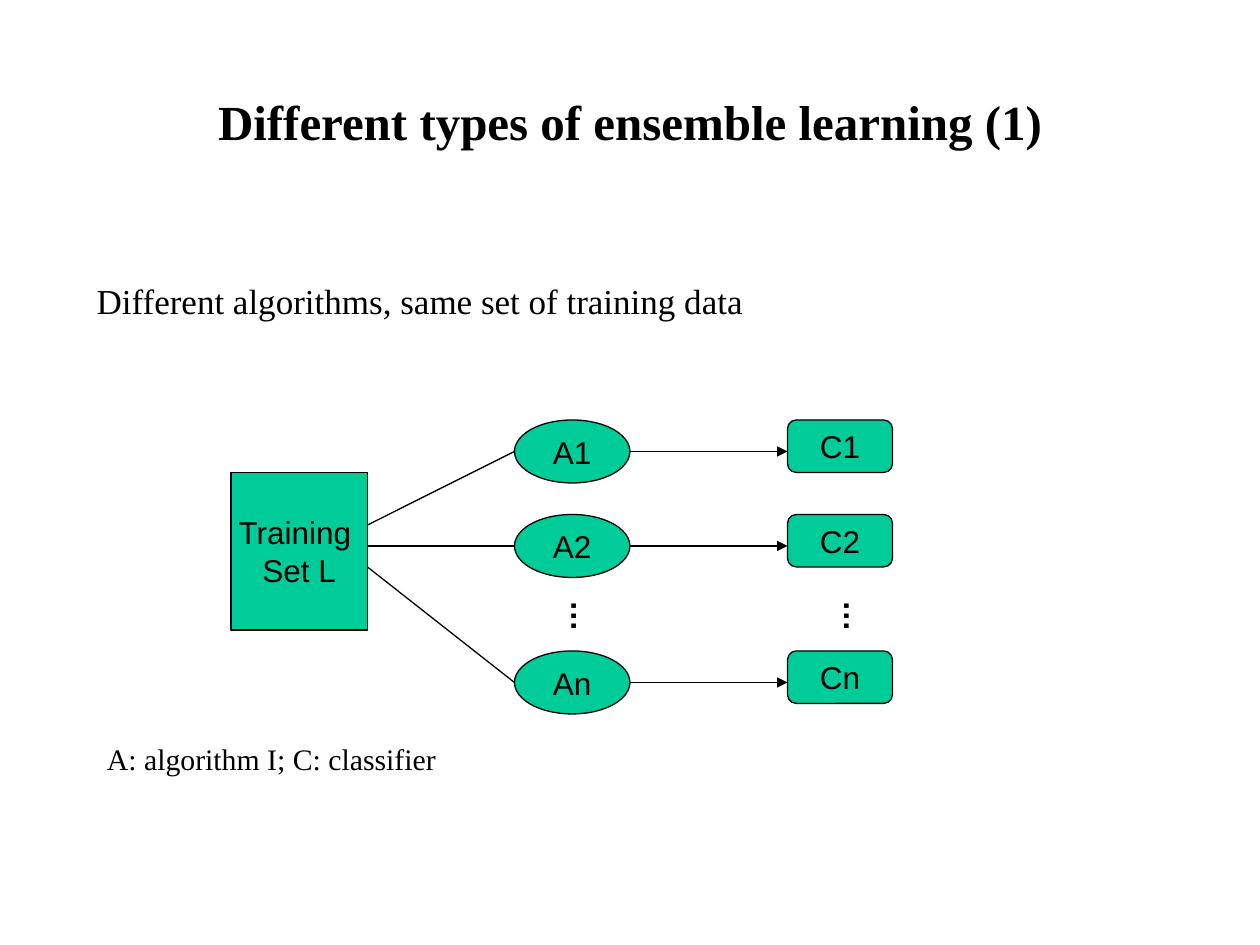
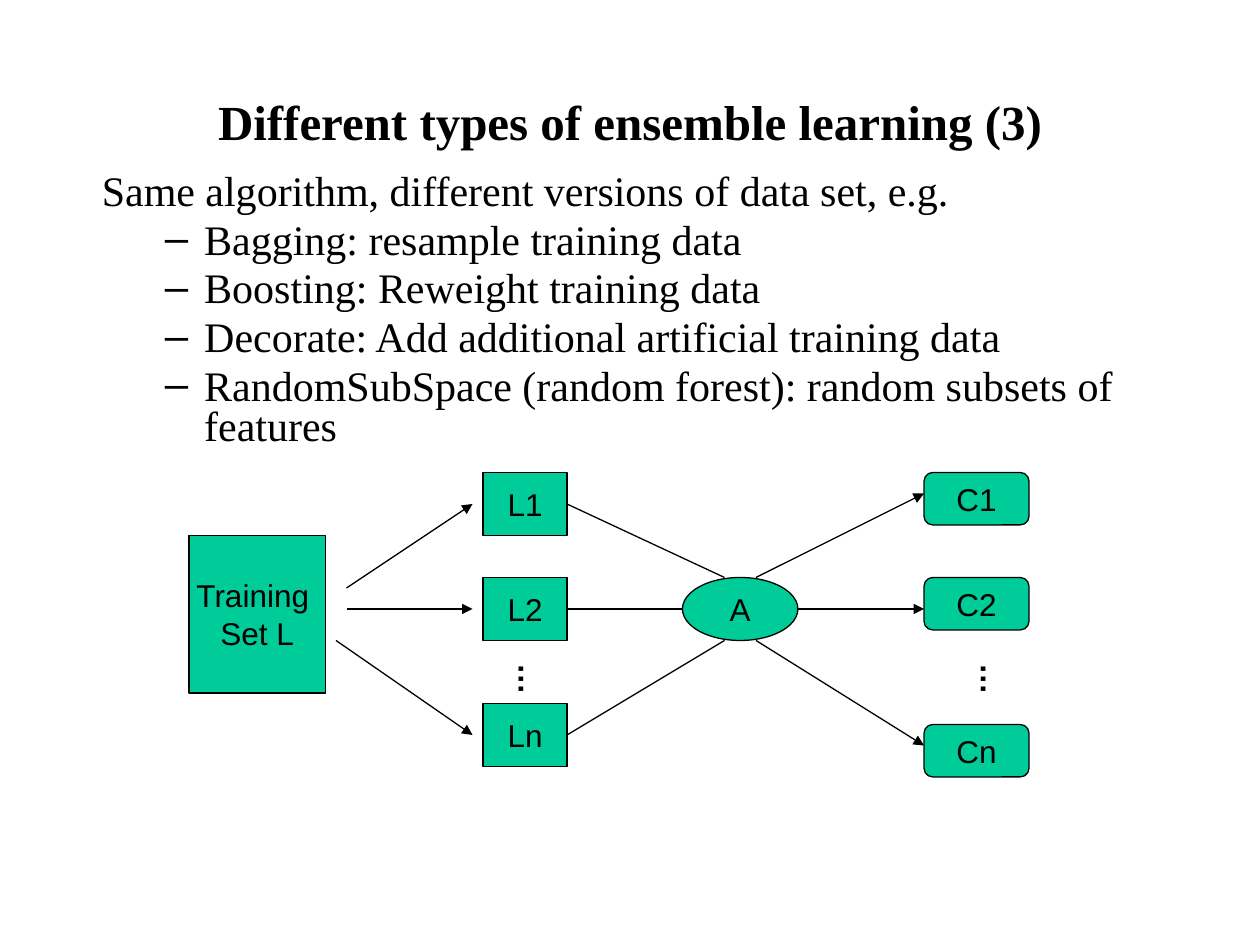
from dataclasses import dataclass

from lxml import etree
from pptx import Presentation
from pptx.dml.color import RGBColor
from pptx.enum import shapes, text
from pptx.oxml import ns
from pptx.util import Pt

# Shared look
GREEN, BLACK = "00CC99", "000000"
SERIF, SANS = "Times New Roman", "Arial"
RECT = shapes.MSO_SHAPE.RECTANGLE
OVAL = shapes.MSO_SHAPE.OVAL
ROUNDED = shapes.MSO_SHAPE.ROUNDED_RECTANGLE
CENTER, LEFT = text.PP_ALIGN.CENTER, text.PP_ALIGN.LEFT
MIDDLE, TOP = text.MSO_ANCHOR.MIDDLE, text.MSO_ANCHOR.TOP
HANGING = 27


@dataclass(frozen=True)
class Node:
    label: str
    left: float
    top: float
    width: float
    height: float
    kind: shapes.MSO_SHAPE


@dataclass(frozen=True)
class Link:
    start: tuple[float, float]
    end: tuple[float, float]
    arrow: bool = False


def color(code: str) -> RGBColor:
    return RGBColor.from_string(code)


def place(box, left: float, top: float, width: float, height: float) -> None:
    box.left, box.top, box.width, box.height = map(Pt, (left, top, width, height))


def write(frame, lines: list[str], *, font: str = SERIF, size: float = 18, bold: bool = False,
          align=LEFT, before: float = 0, spacing: float = 1.0, hanging: float = 0,
          sub_bullets: bool = False) -> None:
    """Fill a text frame; with sub_bullets, every line after the first is a level-two item."""
    for index, line in enumerate(lines):
        para = frame.paragraphs[0] if index == 0 else frame.add_paragraph()
        para.alignment, para.space_before, para.line_spacing = align, Pt(before), spacing
        if sub_bullets and index:
            para.level = 1
        elif hanging:
            props = para._p.get_or_add_pPr()
            props.set("marL", str(Pt(hanging)))
            props.set("indent", str(Pt(-hanging)))
            etree.SubElement(props, ns.qn("a:buNone"))
        span = para.add_run()
        span.text = line
        span.font.name, span.font.size, span.font.bold = font, Pt(size), bold
        span.font.color.rgb = color(BLACK)


def add_page(deck, title: str, lines: list[str], area: tuple[float, ...], **body_format):
    page = deck.slides.add_slide(deck.slide_layouts[1])
    heading, body = page.shapes.title, page.placeholders[1]
    place(heading, 54, 24, 612, 90)
    place(body, *area)
    for box, anchor in ((heading, MIDDLE), (body, TOP)):
        box.text_frame.auto_size = text.MSO_AUTO_SIZE.NONE
        box.text_frame.vertical_anchor = anchor
    write(heading.text_frame, [title], size=28, bold=True, align=CENTER)
    write(body.text_frame, lines, hanging=HANGING, **body_format)
    return page


def add_node(page, node: Node) -> None:
    box = page.shapes.add_shape(node.kind, 0, 0, 0, 0)
    place(box, node.left, node.top, node.width, node.height)
    box.shadow.inherit = False
    box.fill.solid()
    box.fill.fore_color.rgb = color(GREEN)
    box.line.color.rgb = color(BLACK)
    box.line.width = Pt(0.75)
    box.text_frame.word_wrap = False
    box.text_frame.vertical_anchor = MIDDLE
    write(box.text_frame, node.label.split("\n"), font=SANS, align=CENTER)


def add_link(page, link: Link) -> None:
    line = page.shapes.add_connector(shapes.MSO_CONNECTOR.STRAIGHT,
                                     *map(Pt, link.start + link.end))
    line.line.color.rgb = color(BLACK)
    line.line.width = Pt(0.75)
    if link.arrow:
        etree.SubElement(line.line._get_or_add_ln(), ns.qn("a:tailEnd"), type="triangle")
    etree.SubElement(line._element.spPr, ns.qn("a:effectLst"))


def add_dots(page, left: float, top: float) -> None:
    """Vertical ellipsis between the second and the last node of a column."""
    box = page.shapes.add_textbox(Pt(left), Pt(top), Pt(36), Pt(28.8))
    frame = box.text_frame
    frame.word_wrap = True
    frame.auto_size = text.MSO_AUTO_SIZE.SHAPE_TO_FIT_TEXT
    frame._txBody.bodyPr.set("vert", "eaVert")
    write(frame, ["…"], font=SANS, bold=True, before=9)


def training_set(left: float, top: float) -> Node:
    return Node("Training \nSet L", left, top, 78, 90, RECT)


def algorithm(label: str, left: float, top: float) -> Node:
    return Node(label, left, top, 66, 36, OVAL)


def column(letter: str, left: float, tops: tuple[float, ...], width: float, height: float,
           kind) -> list[Node]:
    return [Node(letter + suffix, left, top, width, height, kind)
            for suffix, top in zip("12n", tops)]


def classifiers(left: float, tops: tuple[float, ...]) -> list[Node]:
    return column("C", left, tops, 60, 30, ROUNDED)


def draw(page, links: list[Link], nodes: list[Node], dots: list[tuple[float, float]]) -> None:
    for link in links:
        add_link(page, link)
    for node in nodes:
        add_node(page, node)
    for left, top in dots:
        add_dots(page, left, top)


def different_algorithms(deck) -> None:
    page = add_page(deck, "Different types of ensemble learning (1)",
                    ["Different algorithms, same set of training data"],
                    (48, 156, 612, 82), size=20, before=4)
    tops = (240, 294, 372)
    links = []
    for exit_y, top in zip((300, 312, 324), tops):
        middle = top + 18
        links += [Link((210, exit_y), (294, middle)),
                  Link((360, middle), (450, middle), arrow=True)]
    nodes = [training_set(132, 270), *column("A", 294, tops, 66, 36, OVAL),
             *classifiers(450, tops)]
    draw(page, links, nodes, [(312, 336), (468, 336)])

    # Legend
    legend = page.shapes.add_textbox(Pt(54), Pt(420), Pt(648), Pt(60))
    legend.text_frame.word_wrap = True
    write(legend.text_frame, ["A: algorithm I; C: classifier"], size=17, before=3.4,
          hanging=HANGING)


def different_data(deck) -> None:
    page = add_page(deck, "Different types of ensemble learning (3)",
                    ["Same algorithm, different versions of data set, e.g.",
                     "Bagging: resample training data",
                     "Boosting: Reweight training data",
                     "Decorate: Add additional artificial training data",
                     "RandomSubSpace (random forest): random subsets of features"],
                    (51, 96, 612, 118), size=24, before=4.8, spacing=0.8, sub_bullets=True)
    # Training set to samples, samples to algorithm, algorithm to classifiers
    starts = ((198, 336), (198, 348), (192, 366))
    sample_ys = (288, 348, 420)
    entries = ((414, 330), (390, 348), (414, 366))
    exits = ((432, 330), (456, 348), (432, 366))
    classifier_ys = (282, 348, 426)
    links = []
    for start, sample_y, entry, leave, classifier_y in zip(starts, sample_ys, entries, exits,
                                                           classifier_ys):
        links += [Link(start, (270, sample_y), arrow=True),
                  Link((324, sample_y), entry),
                  Link(leave, (528, classifier_y), arrow=True)]
    nodes = [training_set(108, 306), algorithm("A", 390, 330),
             *column("L", 276, (270, 330, 402), 48, 36, RECT),
             *classifiers(528, (270, 330, 414))]
    draw(page, links, nodes, [(282, 372), (546, 372)])


def main() -> None:
    deck = Presentation()
    deck.slide_width, deck.slide_height = Pt(720), Pt(540)
    different_algorithms(deck)
    different_data(deck)
    deck.save("out.pptx")


if __name__ == "__main__":
    main()
